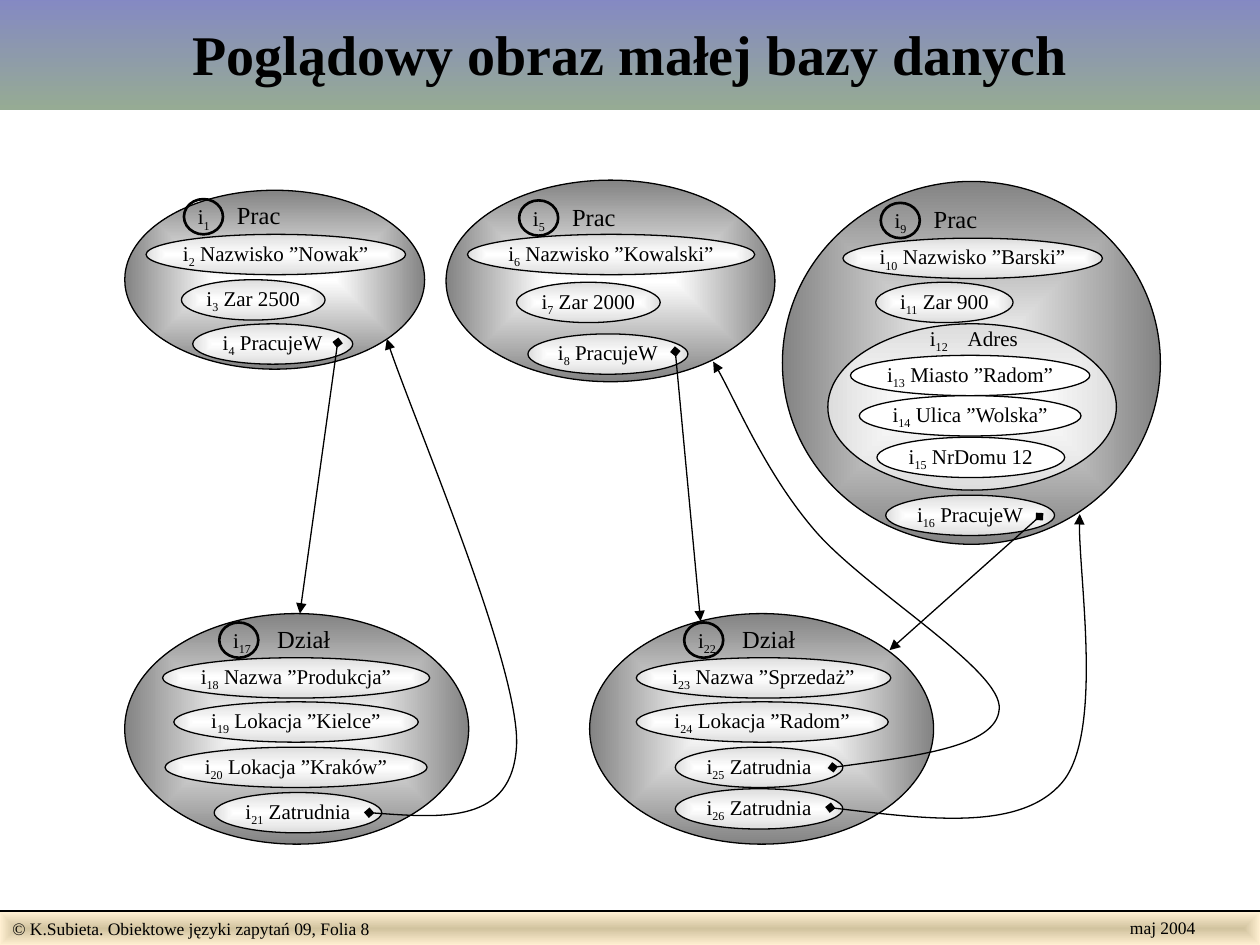
from lxml import etree
from pptx import Presentation
from pptx import util as u
from pptx.dml.color import RGBColor
from pptx.enum import shapes, text
from pptx.oxml.ns import qn

FONT = "Times New Roman"
INK, WHITE = "000000", "FFFFFF"
DARK, LIGHT = (WHITE, "838383"), (WHITE, "DDDDDD")
ROW_H = 0.32

# Objects: body, fill, label (left, top, number, name, size, tab), ring, row fill, rows
# Row: left, top, width, number, wording
OBJECTS = [
    ((0.99, 1.51, 2.38, 1.42), DARK, (1.53, 1.59, 1, "Prac", 14, 0.35), True, LIGHT, [
        (1.16, 1.86, 2.06, 2, "Nazwisko ”Nowak”"),
        (1.44, 2.22, 1.14, 3, "Zar 2500"),
        (1.53, 2.57, 1.27, 4, "PracujeW")]),
    ((3.54, 1.43, 2.61, 1.6), DARK, (4.19, 1.6, 5, "Prac", 14, 0.35), True, LIGHT, [
        (3.71, 1.86, 2.28, 6, "Nazwisko ”Kowalski”"),
        (4.1, 2.24, 1.14, 7, "Zar 2000"),
        (4.19, 2.65, 1.27, 8, "PracujeW")]),
    ((6.21, 1.44, 3, 2.88), DARK, (7.06, 1.62, 9, "Prac", 14, 0.35), True, LIGHT, [
        (6.69, 1.89, 2.06, 10, "Nazwisko ”Barski”"),
        (6.95, 2.24, 1.09, 11, "Zar 900"),
        (7.03, 3.93, 1.34, 16, "PracujeW")]),
    ((6.57, 2.57, 2.29, 1.32), LIGHT, (7.34, 2.58, 12, "Adres", 12, 0.34), False, WHITE, [
        (6.75, 2.82, 1.9, 13, "Miasto ”Radom”"),
        (6.82, 3.14, 1.76, 14, "Ulica ”Wolska”"),
        (6.96, 3.47, 1.49, 15, "NrDomu 12")]),
    ((0.99, 4.87, 2.73, 1.83), DARK, (1.81, 4.95, 17, "Dział", 14, 0.39), True, LIGHT, [
        (1.29, 5.22, 2.12, 18, "Nazwa ”Produkcja”"),
        (1.38, 5.57, 1.94, 19, "Lokacja ”Kielce”"),
        (1.31, 5.93, 2.08, 20, "Lokacja ”Kraków”"),
        (1.7, 6.29, 1.33, 21, "Zatrudnia")]),
    ((4.68, 4.87, 2.73, 1.83), DARK, (5.5, 4.95, 22, "Dział", 14, 0.39), True, LIGHT, [
        (5.05, 5.22, 2.02, 23, "Nazwa ”Sprzedaż”"),
        (5.05, 5.57, 2, 24, "Lokacja ”Radom”"),
        (5.36, 5.93, 1.33, 25, "Zatrudnia"),
        (5.36, 6.26, 1.33, 26, "Zatrudnia")]),
]
# Straight links to departments, curved links back to workers
LINKS = [(5.36, 2.79, 5.56, 4.93), (8.25, 4.1, 7.06, 5.16), (2.68, 2.72, 2.38, 4.87)]
CURVES = [
    [(2.93, 6.45), (3.5, 6.49), (4.07, 6.54), (4.1, 5.91),
     (4.12, 5.28), (3.24, 3.23), (3.07, 2.69)],
    [(6.59, 6.41), (7.34, 6.5), (8.1, 6.6), (8.43, 6.21),
     (8.76, 5.82), (8.54, 4.44), (8.57, 4.08)],
    [(6.61, 6.09), (7.28, 6), (7.95, 5.92), (7.93, 5.6), (7.9, 5.28), (6.83, 4.65),
     (6.45, 4.19), (6.07, 3.74), (5.8, 3.09), (5.66, 2.87)],
]

prs = Presentation()
prs.slide_width, prs.slide_height = u.Inches(10), u.Inches(7.5)
slide = prs.slides.add_slide(prs.slide_layouts[6])


def rgb(code):
    return RGBColor.from_string(code)


def sub(node, tag, **attrs):
    return etree.SubElement(node, qn(tag), attrs)


def paint(shape, fill, radial=True):
    """Fill with one colour, a pair of gradient colours, or nothing."""
    if fill is None:
        shape.fill.background()
    elif isinstance(fill, str):
        shape.fill.solid()
        shape.fill.fore_color.rgb = rgb(fill)
    else:
        shape.fill.gradient()
        for stop, code in zip(shape.fill.gradient_stops, fill):
            stop.color.rgb = rgb(code)
        shape.fill.gradient_angle = 270
        if radial:
            grad = shape._element.spPr.find(qn("a:gradFill"))
            grad.remove(grad.find(qn("a:lin")))
            mid = sub(grad, "a:path", path="rect")
            sub(mid, "a:fillToRect", l="50000", t="50000", r="50000", b="50000")


def stroke(line, width):
    line.color.rgb = rgb(INK)
    line.width = u.Pt(width)


def block(kind, box, fill, width=None, radial=True):
    shape = slide.shapes.add_shape(kind, *map(u.Inches, box))
    shape.shadow.inherit = False
    paint(shape, fill, radial)
    if width:
        stroke(shape.line, width)
    else:
        shape.line.fill.background()
    return shape


def oval(box, fill, width=0.75):
    return block(shapes.MSO_SHAPE.OVAL, box, fill, width)


def write(shape, runs, align="LEFT", inset=(0, 0), wrap=True, anchor="MIDDLE"):
    """Runs are (wording, size, bold, subscript)."""
    frame = shape.text_frame
    frame.word_wrap = wrap
    frame.margin_left = frame.margin_right = u.Inches(inset[0])
    frame.margin_top = frame.margin_bottom = u.Inches(inset[1])
    frame.vertical_anchor = text.MSO_ANCHOR[anchor]
    para = frame.paragraphs[0]
    para.alignment = text.PP_ALIGN[align]
    for words, size, bold, low in runs:
        run = para.add_run()
        run.text = words
        run.font.name, run.font.size, run.font.bold = FONT, u.Pt(size), bold
        run.font.color.rgb = rgb(INK)
        if low:
            run._r.get_or_add_rPr().set("baseline", "-25000")
    return para


def mark(num, rest, size=12):
    return [("i", 12, False, False), (str(num), 12, False, True), (rest, size, False, False)]


def tips(shape):
    """Black line from a diamond to an arrowhead, without shadow."""
    stroke(shape.line, 0.75)
    line = shape.line._get_or_add_ln()
    sub(line, "a:headEnd", type="diamond")
    sub(line, "a:tailEnd", type="triangle")
    if shape._element.spPr.find(qn("a:effectLst")) is None:
        sub(shape._element.spPr, "a:effectLst")


def curve(pts):
    """Draw through the control points, then join each three into a Bezier."""
    first, *rest = [(u.Inches(x), u.Inches(y)) for x, y in pts]
    build = slide.shapes.build_freeform(*first)
    build.add_line_segments(rest, close=False)
    shape = build.convert_to_shape()
    shape.shadow.inherit = False
    shape.fill.background()
    legs = list(shape._element.iter(qn("a:lnTo")))
    for i in range(0, len(legs), 3):
        bend = etree.Element(qn("a:cubicBezTo"))
        legs[i].addprevious(bend)
        for leg in legs[i:i + 3]:
            bend.append(leg[0])
            leg.getparent().remove(leg)
    tips(shape)


# Footer and title
RECT = shapes.MSO_SHAPE.RECTANGLE
foot = block(RECT, (0, 7.24, 10, 0.26), ("D1C39F", "FFEFD1"))
write(foot, [("© K.Subieta. Obiektowe języki zapytań 09, Folia 8", 10, False, False)],
      inset=(0.1, 0))
rule = slide.shapes.add_connector(
    shapes.MSO_CONNECTOR.STRAIGHT, *map(u.Inches, (0, 7.23, 10, 7.23)))
stroke(rule.line, 1)
sub(rule._element.spPr, "a:effectLst")
date = slide.shapes.add_textbox(*map(u.Inches, (8.87, 7.23, 0.9, 0.27)))
write(date, [("maj 2004", 10, False, False)], inset=(0.1, 0.05))
title = block(RECT, (0, -0.03, 10, 0.9), ("8488C4", "96AB94"), radial=False)
write(title, [("Poglądowy obraz małej bazy danych", 32, True, False)],
      "CENTER", (0.1, 0.05))

# Objects with their label and rows
for body, fill, (x, y, num, name, size, tab), ring, tone, rows in OBJECTS:
    oval(body, fill)
    label = slide.shapes.add_textbox(*map(u.Inches, (x + 0.04, y, 0.85, 0.26)))
    para = write(label, mark(num, "\t" + name, size), anchor="TOP")
    stops = sub(para._p.get_or_add_pPr(), "a:tabLst")
    sub(stops, "a:tab", pos=str(u.Inches(tab - 0.04)), algn="l")
    for left, top, wide, num, words in rows:
        row = oval((left, top, wide, ROW_H), tone)
        write(row, mark(num, " " + words), "CENTER", wrap=False)

# Links
for ends in LINKS:
    link = slide.shapes.add_connector(shapes.MSO_CONNECTOR.STRAIGHT, *map(u.Inches, ends))
    tips(link)
for pts in CURVES:
    curve(pts)

# Rings round the identifiers of the top objects
for _, _, (x, y, *_), ring, _, _ in OBJECTS:
    if ring:
        oval((x - 0.07, y - 0.01, 0.31, 0.28), None, 1.5)

prs.save("out.pptx")
